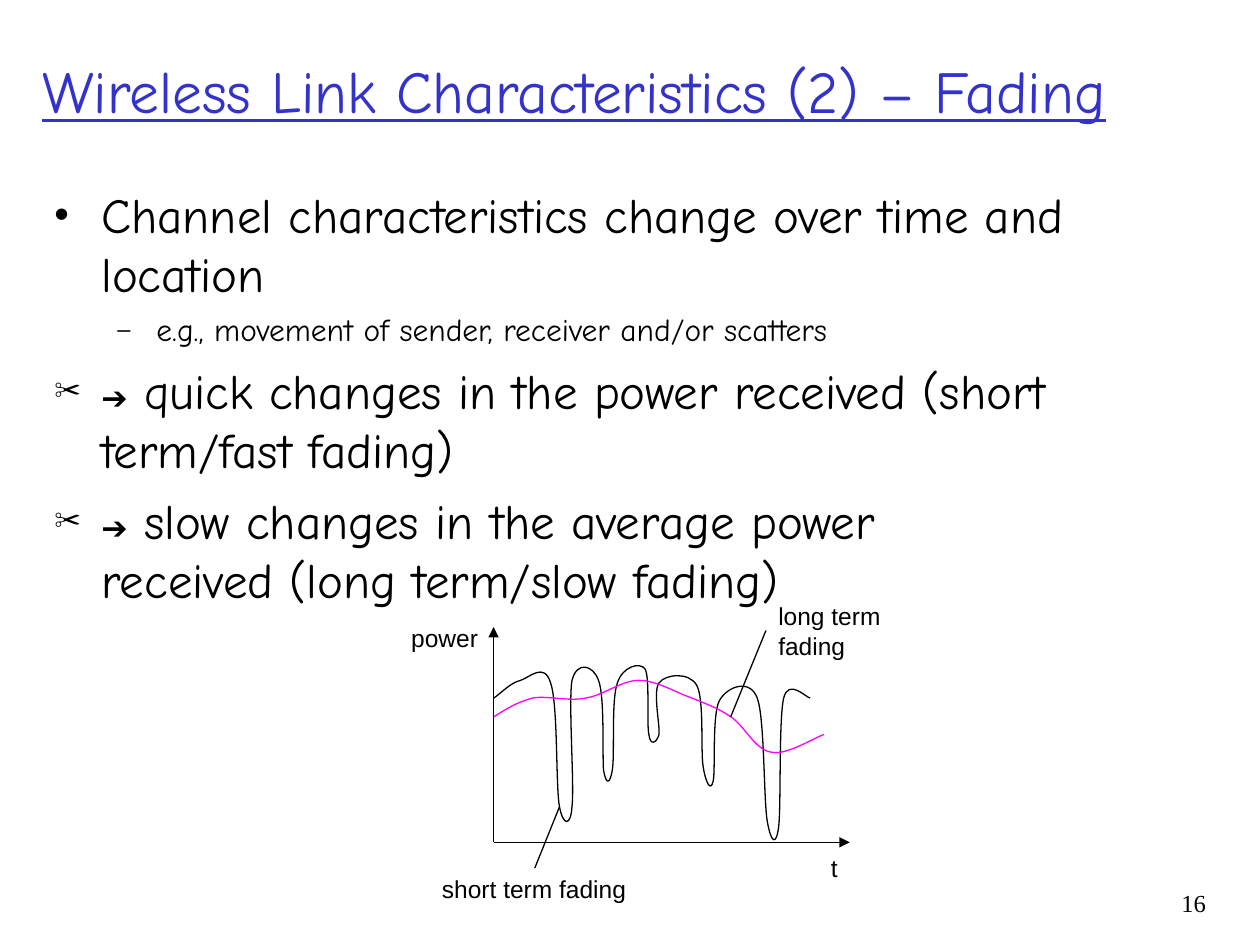
from lxml import etree
from pptx import Presentation
from pptx.dml.color import RGBColor
from pptx.enum import shapes, text
from pptx.oxml import ns
from pptx.util import Cm, Pt

BLACK = RGBColor(0x00, 0x00, 0x00)
BLUE = RGBColor(0x33, 0x33, 0xCC)
MAGENTA = RGBColor(0xFF, 0x00, 0xFF)
HAND, SANS, SERIF = "Comic Neue", "Arial", "Times New Roman"

TITLE = "Wireless Link Characteristics (2) – Fading"
ARROW = ("➔", SANS, 18)
# level, bullet, runs of (text, font, size)
POINTS = [
    (0, "•", [("Channel characteristics change over time and location", HAND, 28)]),
    (1, "–", [("e.g., movement of sender, receiver and/or scatters", HAND, 18)]),
    (0, "✂", [ARROW, (" quick changes in the power received (short term/fast fading)", HAND, 28)]),
    (0, "✂", [ARROW, (" slow changes in the average power \nreceived (long term/slow fading)", HAND, 28)]),
]
# level: margin (cm), hanging indent (cm), space before (pt), bullet size (%)
LEVELS = {0: (0.95, 0.95, 7, 85), 1: (2.06, 0.79, 4.5, 75)}

LABELS = [  # text, left, top, width, height in cm
    ("short term fading", 8.66, 17.5, 4.22, 0.84),
    ("long term\nfading", 15.44, 12, 2.57, 1.45),
    ("t", 16.5, 17.07, 0.66, 0.84),
    ("power", 8.04, 12.43, 1.85, 0.84),
]
ORIGIN = (9.95, 16.98)
AXIS_ENDS = [(17.13, 16.98), (9.95, 12.64)]
LEADERS = [((15.44, 12.71), (14.73, 14.45)), ((10.78, 17.5), (11.28, 16.26))]

# Curves in steps of 0.0254 cm: a start, then two handles and an end per piece
UNIT = 0.0254
SHORT_TERM = [
    (392, 554), (399, 549), (405, 542), (413, 540), (420, 538), (432, 525), (437, 542),
    (443, 559), (441, 624), (444, 640), (447, 656), (453, 656), (454, 640),
    (456, 623), (451, 557), (454, 540), (458, 524), (471, 528), (475, 540),
    (480, 552), (478, 600), (479, 611), (481, 623), (484, 623), (486, 611),
    (488, 600), (485, 555), (490, 542), (494, 529), (508, 525), (512, 531),
    (516, 538), (513, 574), (515, 583), (516, 592), (521, 590), (523, 583),
    (524, 576), (518, 549), (523, 542), (528, 535), (547, 533), (553, 544),
    (559, 555), (556, 595), (558, 608), (560, 621), (564, 629), (566, 620),
    (568, 612), (565, 567), (571, 556), (577, 545), (595, 538), (601, 554),
    (607, 570), (606, 635), (609, 652), (612, 669), (616, 672), (618, 656),
    (620, 640), (618, 571), (622, 554), (626, 538), (640, 554), (643, 554),
]
LONG_TERM = [
    (392, 569), (401, 563), (411, 557), (423, 554), (435, 552), (451, 557), (465, 554),
    (479, 552), (493, 540), (507, 540), (521, 540), (537, 550), (549, 554),
    (561, 559), (570, 562), (580, 569), (591, 576), (599, 595), (612, 597),
    (624, 600), (647, 585), (654, 583),
]


def add_child(parent, tag, **attributes):
    return etree.SubElement(parent, ns.qn(tag), attributes)


def write(paragraph, content, font=SANS, size=14, color=BLACK, underline=None, align=None):
    for i, line in enumerate(content.split("\n")):
        if i:
            paragraph.add_line_break()
        run = paragraph.add_run()
        run.text = line
        run.font.name, run.font.size = font, Pt(size)
        run.font.color.rgb = color
        run.font.underline = underline
    if align is not None:
        paragraph.alignment = align


def place(shape, left, top, width, height):
    shape.left, shape.top = Cm(left), Cm(top)
    shape.width, shape.height = Cm(width), Cm(height)


def set_bullet(paragraph, mark, margin, hanging, percent):
    props = paragraph._p.get_or_add_pPr()
    props.set("marL", str(Cm(margin)))
    props.set("indent", str(-Cm(hanging)))
    add_child(add_child(props, "a:buClr"), "a:srgbClr", val=str(BLACK))
    add_child(props, "a:buSzPct", val=str(percent * 1000))
    add_child(props, "a:buFont", typeface=SANS)
    add_child(props, "a:buChar", char=mark)


def add_line(parent, start, end, arrow=False):
    line = parent.shapes.add_connector(
        shapes.MSO_CONNECTOR.STRAIGHT, *(Cm(v) for v in start + end))
    line.line.color.rgb, line.line.width = BLACK, Pt(0.75)
    if arrow:
        add_child(line.line._get_or_add_ln(), "a:tailEnd", type="triangle")
    add_child(line._element.spPr, "a:effectLst")


def add_curve(parent, points, color):
    """Outline all points, then join each three segments into one cubic piece."""
    start, *rest = [(Cm(x * UNIT), Cm(y * UNIT)) for x, y in points]
    builder = parent.shapes.build_freeform(*start)
    builder.add_line_segments(rest, close=False)
    curve = builder.convert_to_shape()
    segments = list(curve._element.iter(ns.qn("a:lnTo")))
    outline = segments[0].getparent()
    for i in range(0, len(segments), 3):
        piece = add_child(outline, "a:cubicBezTo")
        for segment in segments[i:i + 3]:
            piece.append(segment[0])
            outline.remove(segment)
    curve.fill.background()
    curve.line.color.rgb, curve.line.width = color, Pt(0.75)
    curve.shadow.inherit = False


def main():
    deck = Presentation()
    deck.slide_width, deck.slide_height = Cm(25.4), Cm(19.05)
    slide = deck.slides.add_slide(deck.slide_layouts[1])

    title, body = slide.shapes.title, slide.placeholders[1]
    place(title, 0.6, 0.64, 24.31, 2.34)
    place(body, 0.84, 3.6, 23.67, 14.81)
    for holder, anchor in ((title, text.MSO_ANCHOR.MIDDLE), (body, text.MSO_ANCHOR.TOP)):
        holder.text_frame.auto_size = text.MSO_AUTO_SIZE.NONE
        holder.text_frame.vertical_anchor = anchor
    write(title.text_frame.paragraphs[0], TITLE, font=HAND, size=34, color=BLUE,
          underline=True, align=text.PP_ALIGN.LEFT)

    for i, (level, mark, runs) in enumerate(POINTS):
        frame = body.text_frame
        point = frame.add_paragraph() if i else frame.paragraphs[0]
        margin, hanging, before, percent = LEVELS[level]
        point.level = level
        set_bullet(point, mark, margin, hanging, percent)
        point.space_before = Pt(before if i else 0)
        for content, font, size in runs:
            write(point, content, font=font, size=size)

    graph = slide.shapes.add_group_shape()
    for end in AXIS_ENDS:
        add_line(graph, ORIGIN, end, arrow=True)
    add_curve(graph, SHORT_TERM, BLACK)
    add_curve(graph, LONG_TERM, MAGENTA)
    for start, end in LEADERS:
        add_line(slide, start, end)

    for content, *spot in LABELS:
        frame = slide.shapes.add_textbox(*(Cm(v) for v in spot)).text_frame
        frame.word_wrap = False
        frame.auto_size = text.MSO_AUTO_SIZE.SHAPE_TO_FIT_TEXT
        for i, line in enumerate(content.split("\n")):
            write(frame.add_paragraph() if i else frame.paragraphs[0], line)

    number = slide.shapes.add_textbox(Cm(22.68), Cm(17.78), Cm(1.88), Cm(1.27)).text_frame
    number.word_wrap = True
    write(number.paragraphs[0], "16", font=SERIF, align=text.PP_ALIGN.RIGHT)
    deck.save("out.pptx")


if __name__ == "__main__":
    main()
